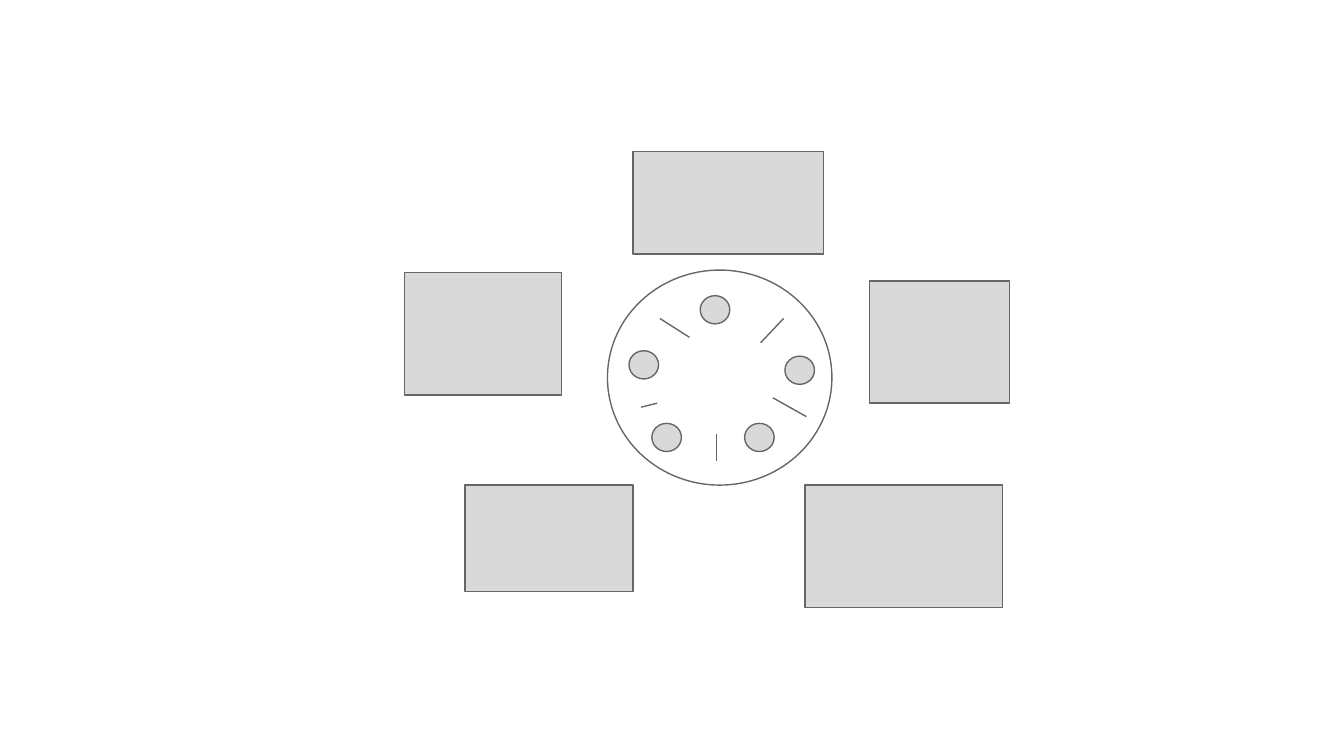
from lxml.etree import SubElement
from pptx import Presentation
from pptx.dml.color import RGBColor
from pptx.enum.shapes import MSO_CONNECTOR, MSO_SHAPE
from pptx.oxml.ns import qn
from pptx.util import Inches, Pt

GREY, WHITE, EDGE = "D9D9D9", "FFFFFF", "666666"

PANELS = [
    (3.01, 2.03, 1.17, 0.91),
    (4.71, 1.13, 1.42, 0.76),
    (3.46, 3.61, 1.25, 0.79),
    (6.47, 2.09, 1.04, 0.91),
    (5.99, 3.61, 1.47, 0.91),
]
SEATS = [(4.68, 2.61), (5.21, 2.2), (5.84, 2.65), (5.54, 3.15), (4.85, 3.15)]
TICKS = [
    (4.89, 3, 4.77, 3.03),
    (5.33, 3.23, 5.33, 3.43),
    (5.75, 2.96, 6, 3.1),
    (5.66, 2.55, 5.83, 2.37),
    (5.13, 2.51, 4.91, 2.37),
]


def color(code):
    return RGBColor.from_string(code)


class Canvas:
    def __init__(self, slide, edge=EDGE, width=0.75):
        self.slide = slide
        self.edge = edge
        self.width = width

    def stroke(self, item):
        item.line.color.rgb = color(self.edge)
        item.line.width = Pt(self.width)

    def shape(self, kind, box, fill):
        item = self.slide.shapes.add_shape(kind, *map(Inches, box))
        item.shadow.inherit = False
        item.fill.solid()
        item.fill.fore_color.rgb = color(fill)
        self.stroke(item)

    def rect(self, box, fill=GREY):
        self.shape(MSO_SHAPE.RECTANGLE, box, fill)

    def oval(self, box, fill=GREY):
        self.shape(MSO_SHAPE.OVAL, box, fill)

    def line(self, ends):
        item = self.slide.shapes.add_connector(
            MSO_CONNECTOR.STRAIGHT, *map(Inches, ends))
        self.stroke(item)
        SubElement(item._element.spPr, qn("a:effectLst"))


def main():
    deck = Presentation()
    size = {"slide_width": Inches(10), "slide_height": Inches(10) * 9 // 16}
    for name, value in size.items():
        setattr(deck, name, value)
    slide = deck.slides.add_slide(deck.slide_layouts[6])
    slide.background.fill.solid()
    slide.background.fill.fore_color.rgb = color(WHITE)

    canvas = Canvas(slide)
    canvas.oval((4.52, 2.01, 1.67, 1.6), WHITE)
    for box in PANELS:
        canvas.rect(box)
    for left, top in SEATS:
        canvas.oval((left, top, 0.22, 0.21))
    for ends in TICKS:
        canvas.line(ends)
    deck.save("out.pptx")


if __name__ == "__main__":
    main()
